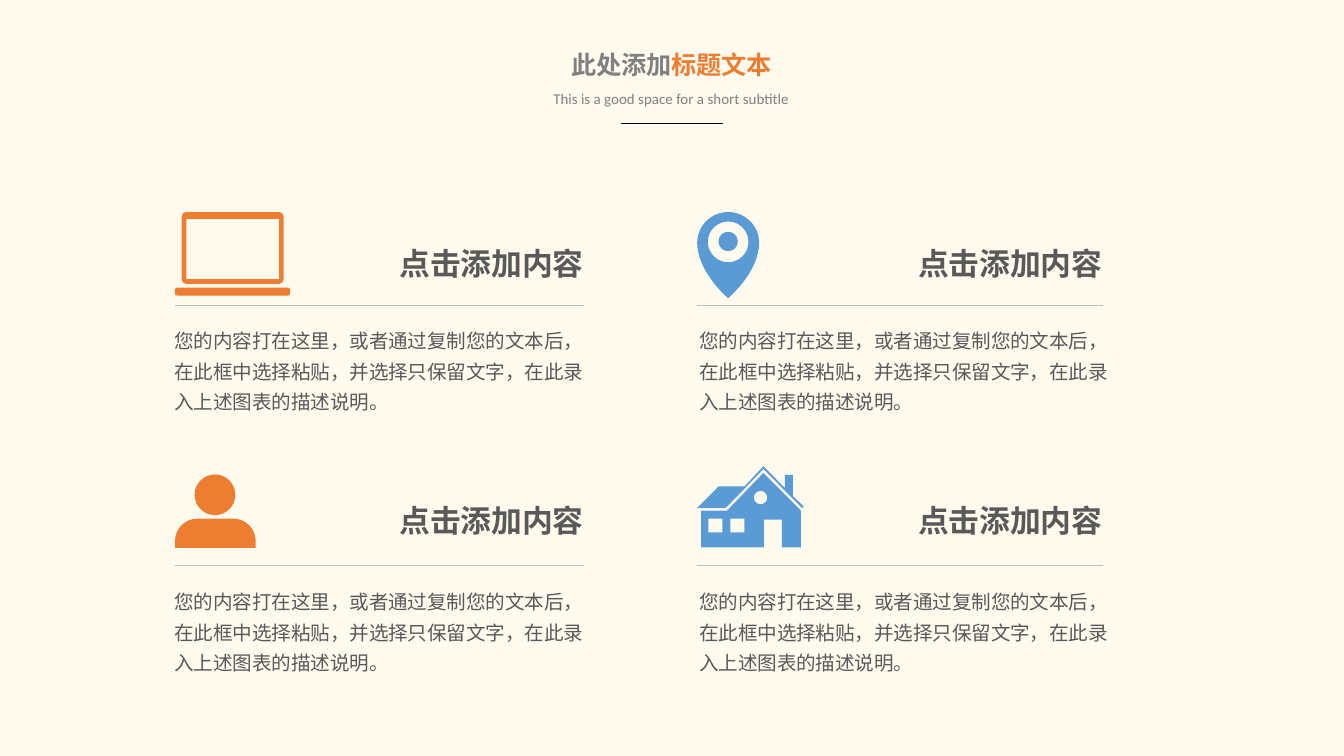
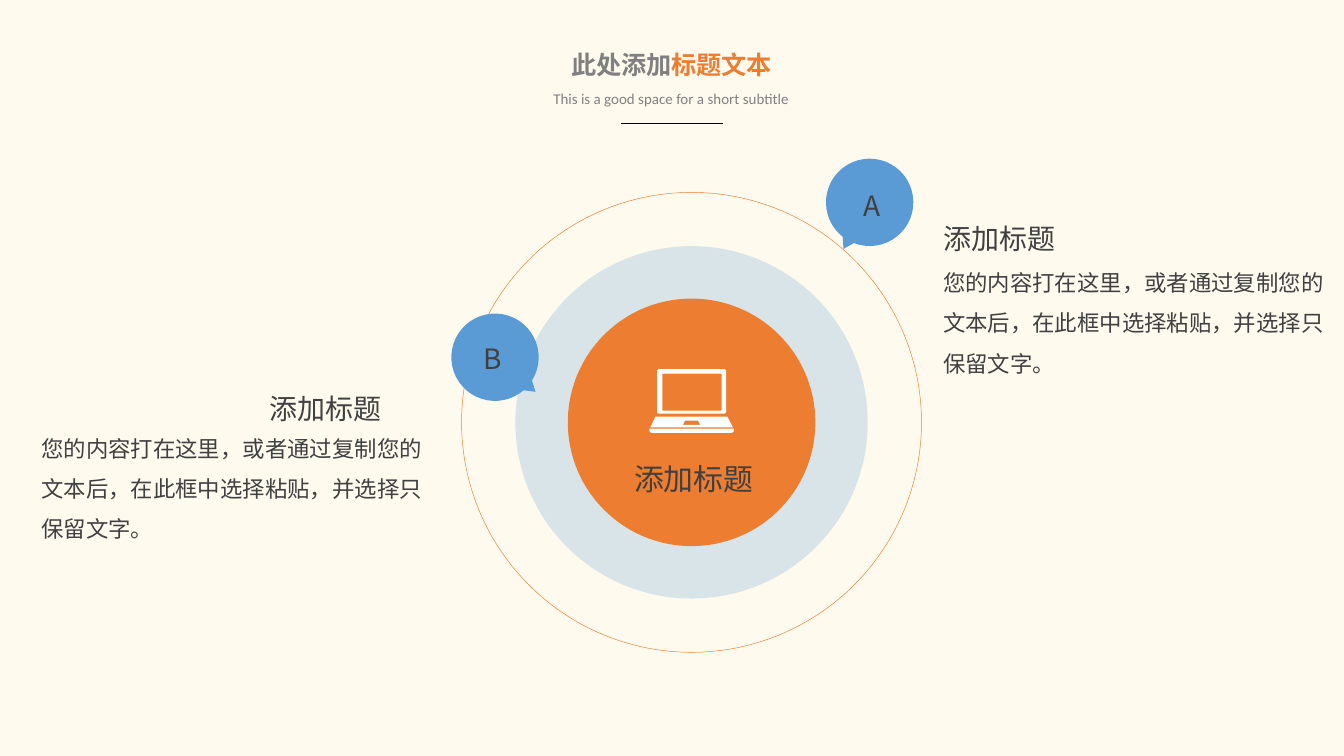
import math

import pptx
import pptx.dml.color
import pptx.enum.shapes
import pptx.enum.text
import pptx.oxml.ns
import pptx.util
from lxml import etree

Pt = pptx.util.Pt
RGBColor = pptx.dml.color.RGBColor
SHAPE = pptx.enum.shapes.MSO_SHAPE
ALIGN = pptx.enum.text.PP_ALIGN
ANCHOR = pptx.enum.text.MSO_ANCHOR
qn = pptx.oxml.ns.qn

CREAM = RGBColor(0xFE, 0xFA, 0xEE)
ORANGE = RGBColor(0xED, 0x7D, 0x31)
BLUE = RGBColor(0x5B, 0x9B, 0xD5)
WHITE = RGBColor(0xFF, 0xFF, 0xFF)
BLACK = RGBColor(0x00, 0x00, 0x00)
RULE_GRAY = RGBColor(0xBF, 0xBF, 0xBF)
TITLE_GRAY = RGBColor(0x80, 0x80, 0x80)
TEXT_GRAY = RGBColor(0x59, 0x59, 0x59)
DARK_GRAY = RGBColor(0x40, 0x40, 0x40)
LATIN_FONT = "Calibri"
CJK_FONT = "Noto Sans CJK SC"

TITLE = [("此处添加", TITLE_GRAY), ("标题文本", ORANGE)]
SUBTITLE = "This is a good space for a short subtitle"

CARD_HEADING = "点击添加内容"
CARD_BODY = "您的内容打在这里，或者通过复制您的文本后，在此框中选择粘贴，并选择只保留文字，在此录入上述图表的描述说明。"
CARD_COLUMNS = [
    {"rule": (93.6, 312.9), "heading": 205.2, "body": 86.4},
    {"rule": (373.4, 591), "heading": 483.1, "body": 367.5},
]
CARD_ROWS = [
    {"rule": 163.4, "heading": 127.4, "body": 168.9},
    {"rule": 303.1, "heading": 265, "body": 308.9},
]

NOTE_TITLE = "添加标题"
NOTE_BODY = "您的内容打在这里，或者通过复制您的文本后，在此框中选择粘贴，并选择只保留文字。"
NOTES = [
    {"title": (498.2, 115.2), "body": (498.2, 133.4)},
    {"title": (137.2, 206.2), "body": (15.1, 222.2)},
]
# Each bubble: letter with its box, disc corner and turn, tail corner and turn
BUBBLES = [
    {"letter": "A", "box": (455.3, 97.2, 25.2, 25.2), "disc": (442.5, 85), "turn": 21.5,
     "tail": (447.8, 123.8), "tail_turn": 208.8},
    {"letter": "B", "box": (252, 179.3, 23.8, 25.2), "disc": (241.8, 168), "turn": 302.9,
     "tail": (276.5, 201.6), "tail_turn": 130.2},
]
HUB_CENTER = (370.5, 226.3)
HALO_DIAMETER, ORBIT_DIAMETER, HUB_DIAMETER = 188.8, 246.4, 132.6


# An outline is a list of steps: (x, y) is a straight step, six numbers a cubic curve.
def arc(cx, cy, radius, start=0, end=360):
    """Quarter curves on a circle; angles in degrees, clockwise from the right."""
    def on_circle(angle, pull=0):
        cos, sin = math.cos(math.radians(angle)), math.sin(math.radians(angle))
        return (cx + radius * (cos - pull * sin), cy + radius * (sin + pull * cos))

    handle = 0.5523
    steps = [on_circle(start)]
    for angle in range(start, end, 90):
        steps.append(on_circle(angle, handle) + on_circle(angle + 90, -handle)
                     + on_circle(angle + 90))
    return steps


def box(left, top, right, bottom):
    return [(left, top), (right, top), (right, bottom), (left, bottom)]


def round_box(left, top, right, bottom, radius):
    return (arc(left + radius, top + radius, radius, 180, 270)
            + arc(right - radius, top + radius, radius, 270, 360)
            + arc(right - radius, bottom - radius, radius, 0, 90)
            + arc(left + radius, bottom - radius, radius, 90, 180))


LAPTOP = [
    round_box(93.7, 154.1, 155.4, 158.4, 1.2),
    round_box(97.3, 113.6, 151.9, 152.1, 2.4),
    box(99.8, 117.3, 149.5, 149.6),
]
PIN = [
    arc(390.1, 130.2, 16.6, 180, 360)
    + [(406.7, 138, 402, 149, 390.1, 159.8), (378.2, 149, 373.5, 138, 373.5, 130.2)],
    arc(390.1, 129.6, 10.9),
    arc(390.1, 129.4, 5.2),
]
PERSON = [
    arc(115.2, 265.1, 10.9),
    arc(105.8, 289.9, 12, 180, 270) + arc(125, 289.9, 12, 270, 360)
    + [(137, 293.5), (93.8, 293.5)],
]
HOUSE = [
    [(429.1, 273.6), (409, 253.4), (389.5, 273.6), (375.6, 273.6), (375.6, 293.3),
     (409.2, 293.3), (409.2, 278.4), (418.9, 278.4), (418.9, 293.3), (429.1, 293.3)],
    box(379.5, 277.8, 387, 285.2),
    box(391.3, 277.8, 398.8, 285.2),
    arc(407.5, 266.6, 3.6),
    [(430.6, 271.4), (429.8, 272.2), (409, 251.3), (388.8, 272.2), (373.5, 272.2),
     (385, 260.6), (398.9, 260.6), (409, 249.8), (420.5, 261.4), (420.5, 254.5),
     (424.8, 254.5), (424.8, 265.7)],
]
OPEN_LAPTOP = [
    round_box(352, 197.8, 389, 221.6, 0.7),
    box(354.8, 200.2, 386.6, 220),
    [(351.2, 223.2), (389.7, 223.2), (392.6, 228.9), (348.4, 228.9)],
    [(367, 225.4), (374, 225.4), (375.2, 227.6), (365.8, 227.6)],
    [(393.2, 229.7), (347.8, 229.7), (347.8, 231, 348, 231.9, 349, 231.9),
     (392, 231.9), (393, 231.9, 393.2, 231, 393.2, 229.7)],
]
CARD_ICONS = [[(LAPTOP, ORANGE), (PIN, BLUE)], [(PERSON, ORANGE), (HOUSE, BLUE)]]


def write(frame, runs, size, font=CJK_FONT, bold=None, align=ALIGN.LEFT, spacing=None, wrap=False):
    frame.word_wrap = wrap
    frame.auto_size = pptx.enum.text.MSO_AUTO_SIZE.SHAPE_TO_FIT_TEXT
    paragraph = frame.paragraphs[0]
    paragraph.alignment = align
    paragraph.line_spacing = spacing
    for text, color in runs:
        run = paragraph.add_run()
        run.text = text
        run.font.size = Pt(size)
        run.font.bold = bold
        run.font.name = font
        run.font.color.rgb = color
        etree.SubElement(run.font._element, qn("a:ea"), typeface=font)


def add_text(shapes, frame, runs, size, anchor=ANCHOR.TOP, **style):
    textbox = shapes.add_textbox(*map(Pt, frame))
    textbox.text_frame.vertical_anchor = anchor
    write(textbox.text_frame, runs, size, **style)


def add_rule(shapes, left, right, y, color):
    rule = shapes.add_connector(pptx.enum.shapes.MSO_CONNECTOR.STRAIGHT,
                                Pt(left), Pt(y), Pt(right), Pt(y))
    rule.line.color.rgb = color
    rule.line.width = Pt(0.5)
    etree.SubElement(rule._element.spPr, qn("a:effectLst"))


def paint(shape, color):
    shape.shadow.inherit = False
    shape.fill.solid()
    shape.fill.fore_color.rgb = color
    shape.line.fill.background()


def add_solid(shapes, kind, frame, color, turn=0):
    shape = shapes.add_shape(kind, *map(Pt, frame))
    paint(shape, color)
    shape.rotation = turn
    return shape


def add_icon(shapes, outlines, color):
    """Draw all outlines as one freeform, then bend its curved steps."""
    builder = None
    for outline in outlines:
        start, *rest = [tuple(map(Pt, step[-2:])) for step in outline]
        if builder is None:
            builder = shapes.build_freeform(*start, scale=1.0)
        else:
            builder.move_to(*start)
        builder.add_line_segments(rest, close=True)
    icon = builder.convert_to_shape()
    paint(icon, color)
    steps = [step for outline in outlines for step in outline[1:]]
    for straight, step in zip(list(icon._element.iter(qn("a:lnTo"))), steps):
        if len(step) == 6:
            curve = etree.Element(qn("a:cubicBezTo"))
            for x, y in zip(step[::2], step[1::2]):
                etree.SubElement(curve, qn("a:pt"),
                                 x=str(Pt(x) - icon.left), y=str(Pt(y) - icon.top))
            straight.getparent().replace(straight, curve)


def hub_frame(diameter):
    return [c - diameter / 2 for c in HUB_CENTER] + [diameter, diameter]


def add_titled_slide(deck):
    slide = deck.slides.add_slide(deck.slide_layouts[6])
    slide.background.fill.solid()
    slide.background.fill.fore_color.rgb = CREAM
    add_text(slide.shapes, (297.9, 23, 123.8, 23.8), TITLE, 13.5,
             font=LATIN_FONT, bold=True, align=ALIGN.CENTER)
    add_text(slide.shapes, (288.6, 44.6, 142, 17.3), [(SUBTITLE, TITLE_GRAY)], 8,
             font=LATIN_FONT, align=ALIGN.CENTER)
    add_rule(slide.shapes, 332.6, 387.4, 66.2, BLACK)
    return slide.shapes


def build_cards(deck):
    shapes = add_titled_slide(deck)
    for row, icons in zip(CARD_ROWS, CARD_ICONS):
        for column, (outlines, color) in zip(CARD_COLUMNS, icons):
            add_icon(shapes, outlines, color)
            add_rule(shapes, *column["rule"], row["rule"], RULE_GRAY)
            add_text(shapes, (column["heading"], row["heading"], 114.5, 27.4),
                     [(CARD_HEADING, TEXT_GRAY)], 16.5, anchor=ANCHOR.MIDDLE,
                     bold=True, align=ALIGN.RIGHT)
            add_text(shapes, (column["body"], row["body"], 239.8, 56.9),
                     [(CARD_BODY, TEXT_GRAY)], 10.5, spacing=1.3, wrap=True)


def build_hub(deck):
    shapes = add_titled_slide(deck)
    halo = add_solid(shapes, SHAPE.OVAL, hub_frame(HALO_DIAMETER), BLUE)
    tint = halo._element.spPr.find(".//" + qn("a:srgbClr"))
    etree.SubElement(tint, qn("a:alpha"), val="23000")
    orbit = shapes.add_shape(SHAPE.OVAL, *map(Pt, hub_frame(ORBIT_DIAMETER)))
    orbit.shadow.inherit = False
    orbit.fill.background()
    orbit.line.color.rgb = ORANGE
    orbit.line.width = Pt(0.25)

    for note in NOTES:
        group = shapes.add_group_shape().shapes
        add_text(group, (*note["body"], 225.4, 72.7), [(NOTE_BODY, DARK_GRAY)], 12,
                 spacing=1.5, wrap=True)
        add_text(group, (*note["title"], 74.9, 25.2), [(NOTE_TITLE, DARK_GRAY)], 15)

    hub = shapes.add_group_shape().shapes
    add_solid(hub, SHAPE.OVAL, hub_frame(HUB_DIAMETER), ORANGE)
    add_icon(hub, OPEN_LAPTOP, WHITE)
    add_text(hub, (332.6, 243.4, 79.2, 26.6), [(NOTE_TITLE, DARK_GRAY)], 16)

    for bubble in BUBBLES:
        group = shapes.add_group_shape().shapes
        add_solid(group, SHAPE.FLOWCHART_CONNECTOR, (*bubble["disc"], 46.8, 46.8),
                  BLUE, bubble["turn"])
        add_solid(group, SHAPE.ISOSCELES_TRIANGLE, (*bubble["tail"], 13, 10.1),
                  BLUE, bubble["tail_turn"])
        label = add_solid(group, SHAPE.RECTANGLE, bubble["box"], BLUE)
        label.text_frame.vertical_anchor = ANCHOR.TOP
        write(label.text_frame, [(bubble["letter"], DARK_GRAY)], 15)


def main():
    deck = pptx.Presentation()
    deck.slide_width, deck.slide_height = Pt(720), Pt(405)
    build_cards(deck)
    build_hub(deck)
    deck.save("out.pptx")


if __name__ == "__main__":
    main()
